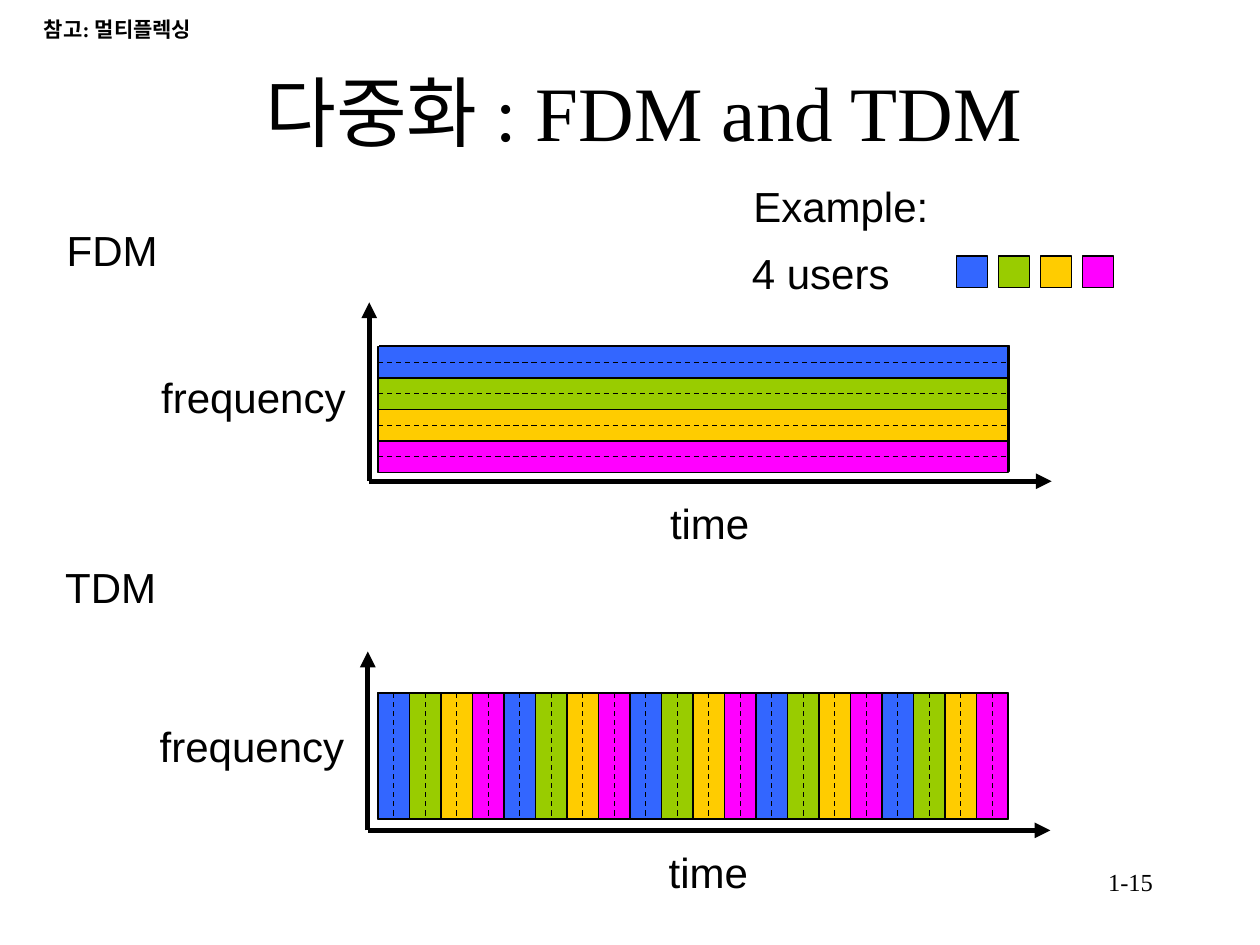
"""Build a slide that compares frequency and time division multiplexing."""
from dataclasses import dataclass

from lxml.etree import SubElement
from pptx import Presentation
from pptx.dml.color import RGBColor
from pptx.enum.dml import MSO_LINE
from pptx.enum.shapes import MSO_CONNECTOR, MSO_SHAPE
from pptx.enum.text import MSO_ANCHOR, MSO_AUTO_SIZE, PP_ALIGN
from pptx.oxml.ns import qn
from pptx.util import Pt


@dataclass(frozen=True)
class Theme:
    """Colours, fonts, type sizes and line weights."""
    users: tuple = ("3366FF", "99CC00", "FFCC00", "FF00FF")
    ink: str = "000000"
    back: str = "00CC99"
    serif: str = "Times New Roman"
    sans: str = "Arial"
    title: int = 44
    label: int = 24
    number: int = 14
    note: int = 12
    thin: float = 0.75
    thick: float = 3


@dataclass(frozen=True)
class Label:
    """A line of text and its box."""
    text: str
    x: float
    y: float
    w: float
    h: float = 36
    size: int = Theme.label
    font: str = Theme.sans
    bold: bool = False
    wrap: bool = False
    align: PP_ALIGN = PP_ALIGN.LEFT


@dataclass(frozen=True)
class Diagram:
    """A plot whose area is cut into slots, stacked or side by side."""
    name: Label
    x0: float
    y0: float
    top: float
    back_x: float
    back_y: float
    slots: int
    stacked: bool


T = Theme()
SLOT, LEFT, WIDTH, HEIGHT = 18, 216, 360, 72
DIAGRAMS = (
    Diagram(Label("FDM", 31, 124.6, 66), 211, 275, 198, 216.7, 197.3, 4, True),
    Diagram(Label("TDM", 30.2, 317.5, 66), 210.2, 474.5, 396, 216, 396, 20, False),
)
LABELS = (
    Label("1-15", 516, 492, 150, size=T.number, font=T.serif, wrap=True,
          align=PP_ALIGN.RIGHT),
    Label("4 users", 422.6, 138.2, 94),
    Label("Example:", 423.4, 99.4, 114),
    Label("참고: 멀티플렉싱", 18, 5.8, 168, 21.6, T.note, T.serif, True, True),
)


def style_text(tf, text: str, size: int, font: str, align: PP_ALIGN, bold: bool = False) -> None:
    """Fill a text frame with one formatted paragraph."""
    tf.text = text
    p = tf.paragraphs[0]
    p.alignment = align
    for r in p.runs:
        r.font.size, r.font.name, r.font.bold = Pt(size), font, bold
        r.font.color.rgb = RGBColor.from_string(T.ink)


def add_label(s, label: Label) -> None:
    """Draw a label as a text box."""
    sp = s.shapes.add_textbox(Pt(label.x), Pt(label.y), Pt(label.w), Pt(label.h))
    tf = sp.text_frame
    tf.word_wrap = label.wrap
    tf.auto_size = MSO_AUTO_SIZE.NONE
    style_text(tf, label.text, label.size, label.font, label.align, label.bold)


def add_box(s, x: float, y: float, w: float, h: float, fill: str) -> None:
    """Draw a filled rectangle with a thin outline."""
    sp = s.shapes.add_shape(MSO_SHAPE.RECTANGLE, Pt(x), Pt(y), Pt(w), Pt(h))
    sp.shadow.inherit = False
    sp.fill.solid()
    sp.fill.fore_color.rgb = RGBColor.from_string(fill)
    sp.line.color.rgb = RGBColor.from_string(T.ink)
    sp.line.width = Pt(T.thin)


def add_line(s, x1: float, y1: float, x2: float, y2: float,
             width: float = T.thin, dash: bool = False, arrow: bool = False) -> None:
    """Draw a straight line, optionally dashed or with an arrowhead."""
    sp = s.shapes.add_connector(MSO_CONNECTOR.STRAIGHT, Pt(x1), Pt(y1), Pt(x2), Pt(y2))
    sp.line.color.rgb = RGBColor.from_string(T.ink)
    sp.line.width = Pt(width)
    if dash:
        sp.line.dash_style = MSO_LINE.DASH
    if arrow:
        SubElement(sp.line._get_or_add_ln(), qn("a:tailEnd"), type="triangle")
    SubElement(sp._element.spPr, qn("a:effectLst"))


def add_divider(s, d: Diagram, offset: float, dash: bool) -> None:
    """Draw a line across the plot area at an offset from its first edge."""
    if d.stacked:
        add_line(s, LEFT, d.top + offset, LEFT + WIDTH, d.top + offset, dash=dash)
    else:
        add_line(s, LEFT + offset, d.top, LEFT + offset, d.top + HEIGHT, dash=dash)


def add_diagram(s, d: Diagram) -> None:
    """Draw the axes, labels, user slots and dividers of a diagram."""
    add_label(s, d.name)
    add_line(s, d.x0, d.y0, d.x0, d.y0 - 102.2, T.thick, arrow=True)
    add_label(s, Label("frequency", d.x0 - 126, d.y0 - 66.2, 120))
    add_line(s, d.x0, d.y0, d.x0 + 390, d.y0, T.thick, arrow=True)
    add_label(s, Label("time", d.x0 + 164.8, d.y0 + 5.8, 60))
    add_box(s, d.back_x, d.back_y, WIDTH, HEIGHT, T.back)
    for i in range(d.slots):
        fill = T.users[i % len(T.users)]
        if d.stacked:
            add_box(s, LEFT, d.top + i * SLOT, WIDTH, SLOT, fill)
        else:
            add_box(s, LEFT + i * SLOT, d.top, SLOT, HEIGHT, fill)
    for i in range(1, d.slots):
        add_divider(s, d, i * SLOT, False)
    for i in range(d.slots):
        add_divider(s, d, (i + 0.5) * SLOT, True)


def main() -> None:
    """Build and save the slide."""
    prs = Presentation()
    prs.slide_width, prs.slide_height = Pt(720), Pt(540)
    s = prs.slides.add_slide(prs.slide_layouts[5])
    title = s.shapes.title
    title.left, title.top, title.width, title.height = Pt(34.6), Pt(18), Pt(666.7), Pt(90)
    title.text_frame.vertical_anchor = MSO_ANCHOR.MIDDLE
    style_text(title.text_frame, "다중화 : FDM and TDM", T.title, T.serif, PP_ALIGN.CENTER)
    for d in DIAGRAMS:
        add_diagram(s, d)
    for i, fill in enumerate(T.users):
        add_box(s, 546.5 + 24 * i, 146.2, SLOT, SLOT, fill)
    for label in LABELS:
        add_label(s, label)
    prs.save("out.pptx")


if __name__ == "__main__":
    main()
